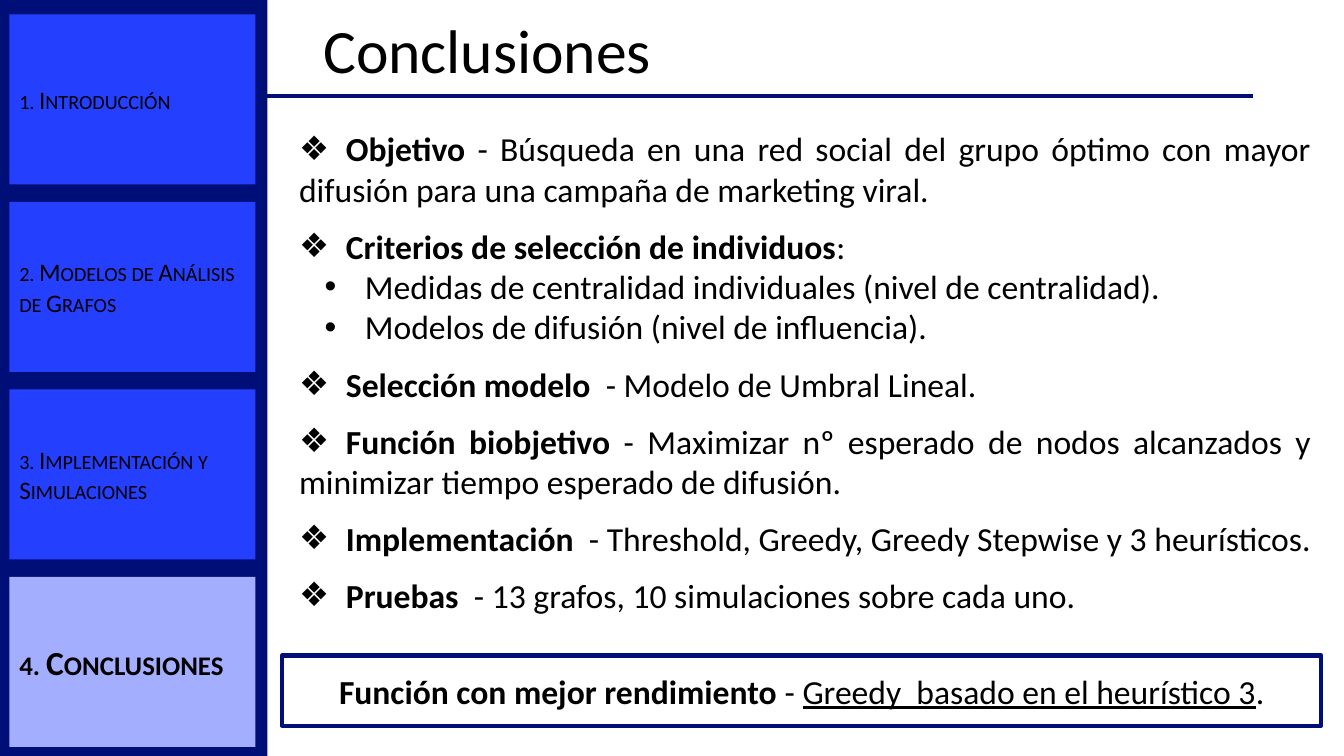
from lxml import etree
from pptx import Presentation
from pptx.dml.color import RGBColor
from pptx.enum.shapes import MSO_CONNECTOR, MSO_SHAPE
from pptx.enum.text import MSO_ANCHOR, MSO_AUTO_SIZE, PP_ALIGN
from pptx.oxml.ns import qn
from pptx.util import Inches, Pt

NAVY = RGBColor(0x00, 0x0E, 0x77)
BLUE = RGBColor(0x25, 0x3F, 0xFF)
PALE = RGBColor(0xA3, 0xAE, 0xFF)
BLACK = RGBColor(0, 0, 0)
RECTANGLE = MSO_SHAPE.RECTANGLE
STRAIGHT = MSO_CONNECTOR.STRAIGHT
TOP, MIDDLE = MSO_ANCHOR.TOP, MSO_ANCHOR.MIDDLE
LEFT, CENTER, JUSTIFY = PP_ALIGN.LEFT, PP_ALIGN.CENTER, PP_ALIGN.JUSTIFY
NO_AUTOFIT = MSO_AUTO_SIZE.NONE
FONT = "Calibri"
BULLET_GAP = "\u2002"

SECTIONS = ["1. Introducción", "2. Modelos de Análisis de Grafos",
            "3. Implementación y Simulaciones", "4. Conclusiones"]
CURRENT_SECTION = SECTIONS[-1]
CONCLUSIONS = [
    ("Objetivo", " - Búsqueda en una red social del grupo óptimo con mayor "
                 "difusión para una campaña de marketing viral.", []),
    ("Criterios de selección de individuos", ":",
     ["Medidas de centralidad individuales (nivel de centralidad).",
      "Modelos de difusión (nivel de influencia)."]),
    ("Selección modelo", "  - Modelo de Umbral Lineal.", []),
    ("Función biobjetivo", " - Maximizar nº esperado de nodos alcanzados y "
                           "minimizar tiempo esperado de difusión.", []),
    ("Implementación", "  - Threshold, Greedy, Greedy Stepwise y 3 heurísticos.", []),
    ("Pruebas", "  - 13 grafos, 10 simulaciones sobre cada uno.", []),
]


class Deck:
    """Slide style and drawing methods on a grid of 100 columns by 100 rows."""

    def __init__(self):
        self.presentation = Presentation()
        self.presentation.slide_width = Inches(13.33)
        self.presentation.slide_height = Inches(7.5)
        self.slide = self.presentation.slides.add_slide(self.presentation.slide_layouts[1])

    def col(self, columns):
        return int(self.presentation.slide_width * columns / 100)

    def row(self, rows):
        return int(self.presentation.slide_height * rows / 100)

    def box(self, left, top, width, height):
        return self.col(left), self.row(top), self.col(width), self.row(height)

    def run(self, paragraph, text, size, bold=False, underline=False, small_caps=False):
        run = paragraph.add_run()
        run.text = text
        font = run.font
        font.name, font.size, font.bold = FONT, Pt(size), bold
        font.color.rgb = BLACK
        if underline:
            font.underline = True
        if small_caps:
            font._element.set("cap", "small")

    def rectangle(self, area, fill=None, line=None):
        shape = self.slide.shapes.add_shape(RECTANGLE, *self.box(*area))
        shape.shadow.inherit = False
        if fill is None:
            shape.fill.background()
        else:
            shape.fill.solid()
            shape.fill.fore_color.rgb = fill
        if line is None:
            shape.line.fill.background()
        else:
            shape.line.color.rgb = line
            shape.line.width = Pt(3)
        frame = shape.text_frame
        frame.word_wrap, frame.vertical_anchor = True, MIDDLE
        return frame.paragraphs[0]

    def rule(self, start, end, row):
        line = self.slide.shapes.add_connector(
            STRAIGHT, self.col(start), self.row(row), self.col(end), self.row(row))
        line.line.color.rgb, line.line.width = NAVY, Pt(2.25)
        etree.SubElement(line._element.spPr, qn("a:effectLst"))

    def placeholder(self, index, area, anchor):
        holder = self.slide.placeholders[index]
        holder.left, holder.top, holder.width, holder.height = self.box(*area)
        frame = holder.text_frame
        frame.word_wrap, frame.vertical_anchor = True, anchor
        frame.auto_size = NO_AUTOFIT
        return frame

    def bullet(self, paragraph, mark, margin=0, hanging=0, before=0, level=0):
        paragraph.alignment, paragraph.level = JUSTIFY, level
        paragraph.space_before = Pt(before)
        properties = paragraph._p.get_or_add_pPr()
        properties.set("marL", str(self.col(margin)))
        properties.set("indent", str(-self.col(hanging)))
        etree.SubElement(properties, qn("a:buChar")).set("char", mark)


def build():
    """Draw the conclusions slide and save it."""
    deck = Deck()
    deck.rectangle((0, 0, 19.9, 100), fill=NAVY)
    deck.rule(19.7, 93.2, 12.7)

    heading = deck.placeholder(0, (23.3, 0, 69.8, 14.1), MIDDLE).paragraphs[0]
    heading.alignment, heading.line_spacing = LEFT, 0.9
    deck.run(heading, "Conclusiones", 44)

    for position, section in enumerate(SECTIONS):
        current = section == CURRENT_SECTION
        label = deck.rectangle((0.7, 1.9 + 24.8 * position, 18.3, 22.5),
                               fill=PALE if current else BLUE)
        label.alignment = LEFT
        deck.run(label, section, 24 if current else 18, bold=current, small_caps=True)

    body = deck.placeholder(1, (21.5, 16.3, 76.8, 70), TOP)
    for position, (topic, detail, criteria) in enumerate(CONCLUSIONS):
        point = body.add_paragraph() if position else body.paragraphs[0]
        deck.bullet(point, "❖", before=12)
        deck.run(point, BULLET_GAP + topic, 24, bold=True)
        deck.run(point, detail, 24)
        for criterion in criteria:
            subpoint = body.add_paragraph()
            deck.bullet(subpoint, "•", margin=4.9, hanging=3, level=1)
            deck.run(subpoint, criterion, 24)

    result = deck.rectangle((21, 86.7, 77.3, 9.3), line=NAVY)
    result.alignment = CENTER
    deck.run(result, "Función con mejor rendimiento ", 24, bold=True)
    deck.run(result, "- ", 24)
    deck.run(result, "Greedy  basado en el heurístico 3", 24, underline=True)
    deck.run(result, ".", 24)

    deck.presentation.save("out.pptx")


build()
